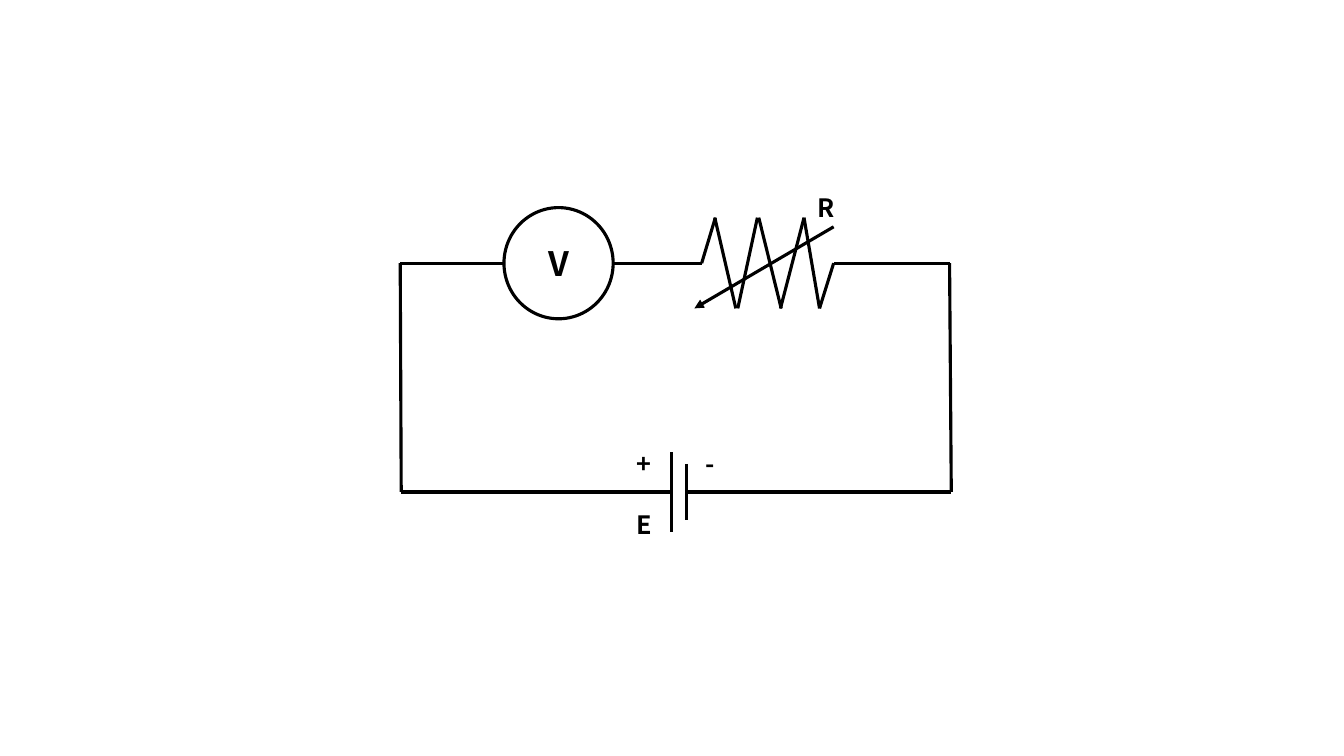
from dataclasses import dataclass

from lxml.etree import SubElement
from pptx import Presentation
from pptx.dml.color import RGBColor
from pptx.enum.shapes import MSO_CONNECTOR as Connector, MSO_SHAPE as Shape
from pptx.enum.text import MSO_ANCHOR as Anchor, MSO_AUTO_SIZE as AutoSize, PP_ALIGN as Align
from pptx.oxml.ns import qn
from pptx.shapes.shapetree import GroupShapes, SlideShapes
from pptx.text.text import TextFrame
from pptx.util import Pt

BLACK = RGBColor(0, 0, 0)
WHITE = RGBColor(255, 255, 255)
FONT = "Noto Sans CJK JP"
LINE_WIDTH = Pt(2.25)

TOP_Y, BOTTOM_Y = 188, 351.4
PEAK_Y, TROUGH_Y = 155.5, 220.3
TOP_LEFT_X, BOTTOM_LEFT_X = 285.9, 286.6
TOP_RIGHT_X, BOTTOM_RIGHT_X = 678.3, 679.5
METER_LEFT, METER_WIDTH, METER_HEIGHT = 360, 78, 79.4
RESISTOR_LEFT, RESISTOR_RIGHT = 501.2, 595.5
PLUS_X, MINUS_X = 479.6, 490.3
PLUS_HALF, MINUS_HALF = 28.3, 20


@dataclass(frozen=True)
class Wire:
    x1: float
    y1: float
    x2: float
    y2: float
    arrow: bool = False


@dataclass(frozen=True)
class Label:
    text: str
    left: float
    top: float
    width: float
    height: float = 29


RESISTOR = [
    Wire(RESISTOR_LEFT, TOP_Y, 511, PEAK_Y),
    Wire(510.6, PEAK_Y, 525.6, TROUGH_Y),
    Wire(541, PEAK_Y, 527, TROUGH_Y),
    Wire(542, PEAK_Y, 558, TROUGH_Y),
    Wire(574.3, PEAK_Y, 557.5, TROUGH_Y),
    Wire(574.3, PEAK_Y, 585.4, TROUGH_Y),
    Wire(585.4, TROUGH_Y, RESISTOR_RIGHT, TOP_Y),
]

CIRCUIT = [
    Wire(TOP_LEFT_X, TOP_Y, METER_LEFT, TOP_Y),
    Wire(METER_LEFT + METER_WIDTH, TOP_Y, RESISTOR_LEFT, TOP_Y),
    Wire(RESISTOR_RIGHT, TOP_Y, TOP_RIGHT_X, TOP_Y),
    Wire(TOP_LEFT_X, TOP_Y, BOTTOM_LEFT_X, BOTTOM_Y),
    Wire(TOP_RIGHT_X, TOP_Y, BOTTOM_RIGHT_X, BOTTOM_Y),
    Wire(BOTTOM_LEFT_X, BOTTOM_Y, PLUS_X, BOTTOM_Y),
    Wire(MINUS_X, BOTTOM_Y, BOTTOM_RIGHT_X, BOTTOM_Y),
    Wire(PLUS_X, BOTTOM_Y - PLUS_HALF, PLUS_X, BOTTOM_Y + PLUS_HALF),
    Wire(MINUS_X, BOTTOM_Y - MINUS_HALF, MINUS_X, BOTTOM_Y + MINUS_HALF),
    Wire(RESISTOR_RIGHT, 162, 496, TROUGH_Y, arrow=True),
]

LABELS = [
    Label("R", 576.7, 134, 27.4),
    Label("+", 445.7, 316.8, 28),
    Label("-", 496, 316.8, 22.3),
    Label("E", 447, 360, 26),
]


def draw_wire(shapes: SlideShapes | GroupShapes, wire: Wire) -> None:
    line = shapes.add_connector(
        Connector.STRAIGHT, Pt(wire.x1), Pt(wire.y1), Pt(wire.x2), Pt(wire.y2)
    )
    line.line.color.rgb = BLACK
    line.line.width = LINE_WIDTH
    properties = line.element.spPr
    if wire.arrow:
        SubElement(properties.find(qn("a:ln")), qn("a:tailEnd"), type="triangle")
    SubElement(properties, qn("a:effectLst"))


def write_text(frame: TextFrame, text: str, size: float) -> None:
    para = frame.paragraphs[0]
    para.text = text
    para.alignment = Align.CENTER
    para.font.name = FONT
    para.font.size = Pt(size)
    para.font.bold = True
    para.font.color.rgb = BLACK


def draw_label(shapes: SlideShapes, label: Label) -> None:
    box = shapes.add_textbox(
        Pt(label.left), Pt(label.top), Pt(label.width), Pt(label.height)
    )
    box.text_frame.word_wrap = False
    box.text_frame.auto_size = AutoSize.SHAPE_TO_FIT_TEXT
    write_text(box.text_frame, label.text, 18)


def draw_voltmeter(shapes: SlideShapes) -> None:
    meter = shapes.add_shape(
        Shape.OVAL,
        Pt(METER_LEFT),
        Pt(TOP_Y - METER_HEIGHT / 2),
        Pt(METER_WIDTH),
        Pt(METER_HEIGHT),
    )
    meter.shadow.inherit = False
    meter.fill.solid()
    meter.fill.fore_color.rgb = WHITE
    meter.line.color.rgb = BLACK
    meter.line.width = LINE_WIDTH
    meter.text_frame.vertical_anchor = Anchor.MIDDLE
    write_text(meter.text_frame, "V", 24)


deck = Presentation()
deck.slide_width, deck.slide_height = Pt(960), Pt(540)
page = deck.slides.add_slide(deck.slide_layouts[6])

resistor = page.shapes.add_group_shape()
for zigzag in RESISTOR:
    draw_wire(resistor.shapes, zigzag)
draw_voltmeter(page.shapes)
for circuit_wire in CIRCUIT:
    draw_wire(page.shapes, circuit_wire)
for circuit_label in LABELS:
    draw_label(page.shapes, circuit_label)

deck.save("out.pptx")
